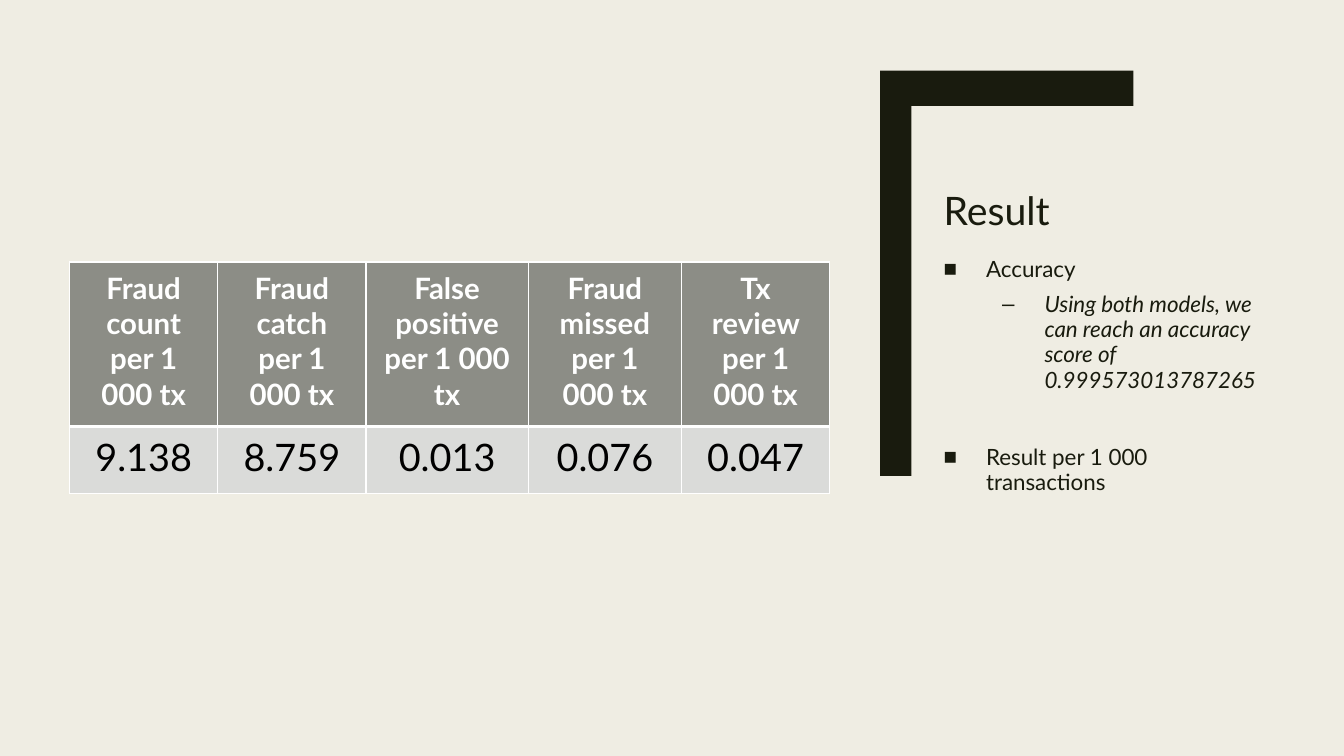
from lxml import etree
from pptx import Presentation
from pptx.dml.color import RGBColor
from pptx.enum.text import MSO_ANCHOR, MSO_AUTO_SIZE, PP_ALIGN
from pptx.oxml.ns import qn
from pptx.util import Inches, Pt

LEFT, CENTER = PP_ALIGN.LEFT, PP_ALIGN.CENTER
TOP, BOTTOM = MSO_ANCHOR.TOP, MSO_ANCHOR.BOTTOM
NO_AUTOFIT = MSO_AUTO_SIZE.NONE
FONT = "Lato"
INK, PAPER, WHITE, BLACK = "191B0E", "EFEDE3", "FFFFFF", "000000"


def paint(fill, color):
    fill.solid()
    fill.fore_color.rgb = RGBColor.from_string(color)


def write(paragraph, text, color, font_format, paragraph_format):
    run = paragraph.add_run()
    run.text = text
    run.font.name = FONT
    paint(run.font.fill, color)
    for target, values in ((run.font, font_format), (paragraph, paragraph_format)):
        for name, value in values.items():
            setattr(target, name, value)


prs = Presentation()
prs.slide_width, prs.slide_height = Inches(13.33), Inches(7.5)
slide = prs.slides.add_slide(prs.slide_layouts[1])
paint(slide.background.fill, PAPER)

title, findings = slide.shapes.title, slide.placeholders[1]
for holder, top, height, anchor in ((title, 1.21, 1.16, BOTTOM), (findings, 2.5, 4.3, TOP)):
    holder.left, holder.top = Inches(9.26), Inches(top)
    holder.width, holder.height = Inches(3.34), Inches(height)
    frame_format = {"word_wrap": True, "auto_size": NO_AUTOFIT, "vertical_anchor": anchor}
    for name, value in frame_format.items():
        setattr(holder.text_frame, name, value)

write(title.text_frame.paragraphs[0], "Result", INK, {"size": Pt(28)},
      {"alignment": LEFT, "line_spacing": 0.89})

points = [
    ("Accuracy", 0, 0.42, "■", 10),
    ("Using both models, we can reach an accuracy score of 0.999573013787265", 1, 1, "–", 5),
    ("Result per 1 000 transactions", 0, 0.42, "■", 35),
]
for index, (text, level, margin, bullet, space_before) in enumerate(points):
    frame = findings.text_frame
    point = frame.add_paragraph() if index else frame.paragraphs[0]
    write(point, text, INK, {"size": Pt(16), "italic": level == 1},
          {"level": level, "alignment": LEFT, "line_spacing": 0.94,
           "space_before": Pt(space_before), "space_after": Pt(2)})
    properties = point._p.get_or_add_pPr()
    properties.set("marL", str(Inches(margin)))
    properties.set("indent", str(-Inches(0.42)))
    etree.SubElement(properties, qn("a:buFont"), typeface="Arial")
    etree.SubElement(properties, qn("a:buChar"), char=bullet)

corner = [(9.04, 4.72), (8.73, 4.72), (8.73, 0.7), (11.24, 0.7), (11.24, 1.05), (9.04, 1.05)]
outline = [(Inches(x), Inches(y)) for x, y in corner]
builder = slide.shapes.build_freeform(*outline[0])
builder.add_line_segments(outline[1:], close=True)
bracket = builder.convert_to_shape()
bracket.shadow.inherit = False
paint(bracket.fill, INK)
bracket.line.fill.background()

measures = ["Fraud count", "Fraud catch", "False positive", "Fraud missed", "Tx review"]
rates = ["9.138", "8.759", "0.013", "0.076", "0.047"]
rows = [
    ([f"{measure} per 1 000 tx" for measure in measures], 1.63, 21, True, WHITE, "8C8D86",
     {"L": 1, "R": 1, "T": 1, "B": 3}),
    (rates, 0.67, 27, False, BLACK, "DADBD9", {"L": 1, "R": 1, "T": 3, "B": 1}),
]
table = slide.shapes.add_table(
    2, len(measures), Inches(0.69), Inches(2.6), Inches(7.55), Inches(2.3)).table
for column, width in zip(table.columns, (1.47, 1.47, 1.61, 1.52, 1.47)):
    column.width = Inches(width)

cell_format = {"margin_left": Inches(0.15), "margin_right": Inches(0.15),
               "margin_top": Inches(0.08), "margin_bottom": Inches(0.08)}
for row, (texts, height, size, bold, color, shade, borders) in zip(table.rows, rows):
    row.height = Inches(height)
    for cell, text in zip(row.cells, texts):
        for name, value in cell_format.items():
            setattr(cell, name, value)
        paint(cell.fill, shade)
        write(cell.text_frame.paragraphs[0], text, color,
              {"size": Pt(size), "bold": bold}, {"alignment": CENTER})
        properties = cell._tc.get_or_add_tcPr()
        for position, (side, weight) in enumerate(borders.items()):
            border = etree.Element(qn(f"a:ln{side}"), w=str(Pt(weight)))
            stroke = etree.SubElement(border, qn("a:solidFill"))
            etree.SubElement(stroke, qn("a:srgbClr"), val=WHITE)
            properties.insert(position, border)

prs.save("out.pptx")
